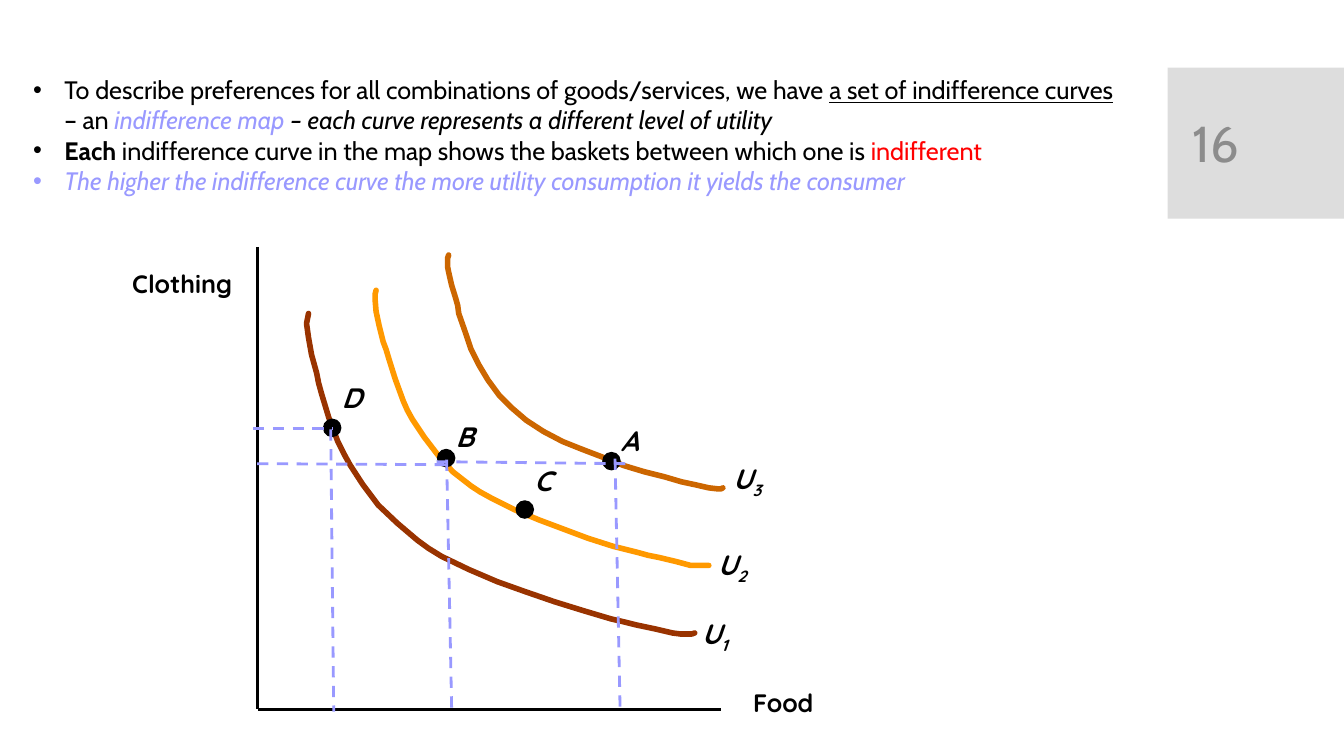
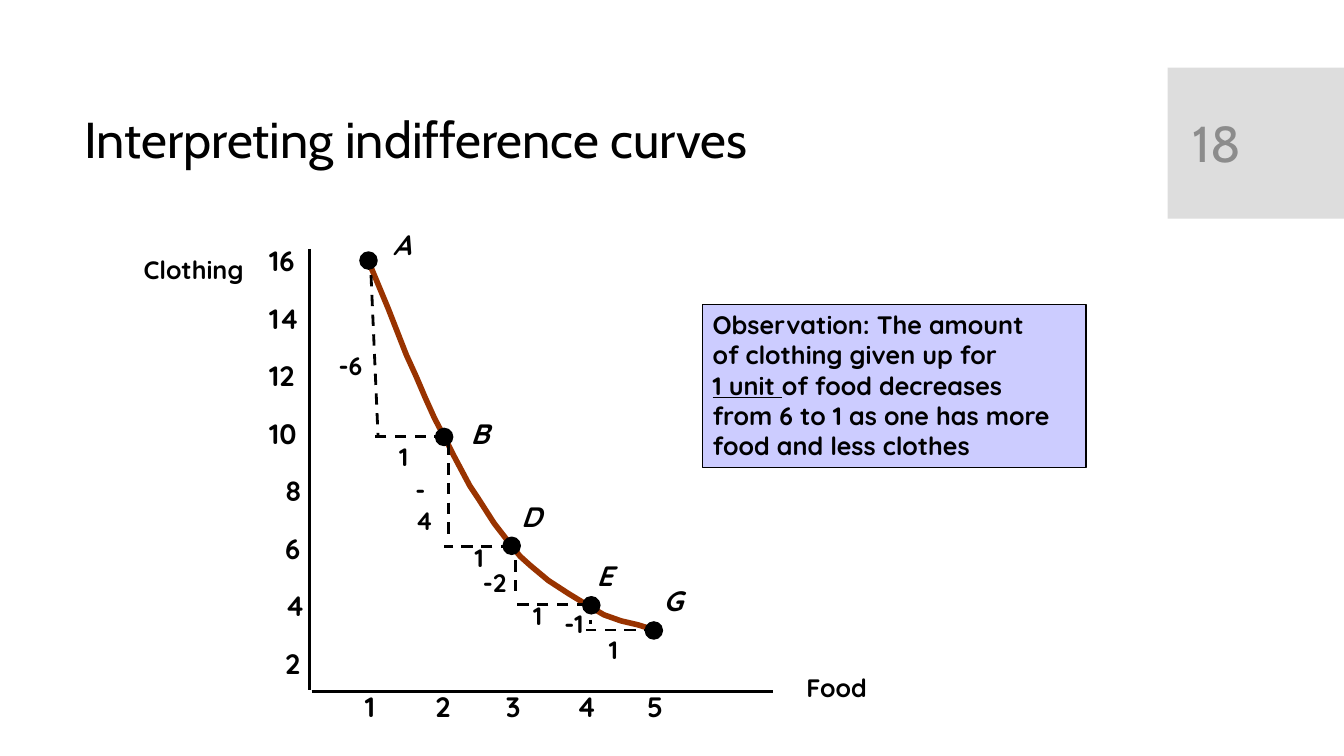
from lxml.etree import SubElement
from pptx import Presentation
from pptx.dml.color import RGBColor
from pptx.enum.dml import MSO_LINE as Dash
from pptx.enum.shapes import MSO_CONNECTOR as Link, MSO_SHAPE as Shape
from pptx.enum.text import MSO_ANCHOR as Anchor, MSO_AUTO_SIZE as Fit, PP_ALIGN as Align
from pptx.oxml.ns import qn
from pptx.util import Inches, Pt

BLACK, LILAC, RED = "000000", "9999FF", "FF0000"
RUST, AMBER, OCHRE = "993300", "FF9900", "CC6600"
PANEL, GREY, NOTE = "DDDDDD", "8C8C8C", "CCCCFF"
BODY, LABEL = "Cabin", "Quicksand"
DOT = 0.17

LOW = [
    (3.06, 3.11), (3.05, 3.16), (3.04, 3.21), (3.05, 3.28), (3.06, 3.35),
    (3.09, 3.52), (3.14, 3.7), (3.16, 3.8), (3.19, 3.91), (3.26, 4.14),
    (3.35, 4.38), (3.41, 4.5), (3.47, 4.61), (3.6, 4.81), (3.75, 5.01),
    (3.94, 5.19), (4.14, 5.36), (4.25, 5.44), (4.38, 5.52), (4.65, 5.65),
    (4.93, 5.77), (5.21, 5.87), (5.5, 5.97), (5.79, 6.06), (6.06, 6.14),
    (6.19, 6.17), (6.31, 6.2), (6.5, 6.24), (6.67, 6.28), (6.75, 6.29),
    (6.81, 6.29), (6.86, 6.29), (6.89, 6.28),
]
MID = [
    (3.73, 2.88), (3.72, 2.92), (3.72, 2.97), (3.73, 3.09), (3.76, 3.23),
    (3.8, 3.39), (3.83, 3.47), (3.86, 3.57), (3.92, 3.76), (4, 3.98),
    (4.04, 4.07), (4.09, 4.16), (4.21, 4.34), (4.34, 4.51), (4.49, 4.68),
    (4.67, 4.82), (4.76, 4.88), (4.87, 4.94), (5.11, 5.06), (5.35, 5.16),
    (5.59, 5.25), (5.83, 5.34), (6.08, 5.42), (6.32, 5.48), (6.43, 5.51),
    (6.53, 5.53), (6.7, 5.57), (6.85, 5.61), (6.96, 5.61), (7.03, 5.61),
]
HIGH = [
    (4.45, 2.53), (4.44, 2.56), (4.44, 2.65), (4.45, 2.7), (4.48, 2.83),
    (4.52, 2.96), (4.54, 3.03), (4.55, 3.11), (4.61, 3.28), (4.67, 3.46),
    (4.71, 3.54), (4.75, 3.62), (4.84, 3.77), (4.95, 3.92), (5.08, 4.05),
    (5.22, 4.17), (5.39, 4.28), (5.58, 4.38), (5.78, 4.46), (5.99, 4.54),
    (6.19, 4.62), (6.39, 4.68), (6.59, 4.73), (6.76, 4.78), (6.9, 4.81),
    (7.03, 4.84), (7.12, 4.85), (7.15, 4.85), (7.17, 4.84),
]
TRADE = [
    (3.65, 2.58), (3.85, 3.06), (4.03, 3.52), (4.13, 3.74), (4.22, 3.95),
    (4.31, 4.15), (4.41, 4.34), (4.49, 4.5), (4.58, 4.67), (4.66, 4.82),
    (4.74, 4.94), (4.9, 5.19), (5.07, 5.41), (5.16, 5.52), (5.26, 5.61),
    (5.44, 5.76), (5.64, 5.89), (5.82, 6), (5.99, 6.1), (6.16, 6.16),
    (6.33, 6.2), (6.49, 6.25),
]


def ink(code):
    return RGBColor.from_string(code)


def paint(shape, fill, line=None):
    shape.shadow.inherit = False
    shape.fill.solid()
    shape.fill.fore_color.rgb = ink(fill)
    if line:
        shape.line.color.rgb = ink(line)
        shape.line.width = Pt(1)
    else:
        shape.line.fill.background()


def block(slide, kind, box, fill, line=None):
    shape = slide.shapes.add_shape(kind, *map(Inches, box))
    paint(shape, fill, line)
    return shape


def style(run, size, font, color, bold=False, slant=False, under=False, base=0):
    face = run.font
    face.size, face.name, face.color.rgb = Pt(size), font, ink(color)
    face.bold, face.italic, face.underline = bold, slant, under
    if base:
        face._element.set("baseline", str(base * 1000))


def bullet(para, color):
    props = para._p.get_or_add_pPr()
    props.set("marL", str(Inches(0.31)))
    props.set("indent", str(-Inches(0.31)))
    tint = SubElement(props, qn("a:buClr"))
    SubElement(tint, qn("a:srgbClr")).set("val", color)
    SubElement(props, qn("a:buFont")).set("typeface", "Arial")
    SubElement(props, qn("a:buChar")).set("char", "•")


def write(slide, box, paras, shape=None, wrap=True, grow=True, anchor=Anchor.TOP,
          align=Align.LEFT, space=None, dots=False, size=18, font=LABEL,
          color=BLACK, **look):
    shape = shape or slide.shapes.add_textbox(*map(Inches, box))
    frame = shape.text_frame
    frame.word_wrap, frame.vertical_anchor = wrap, anchor
    frame.auto_size = Fit.SHAPE_TO_FIT_TEXT if grow else Fit.NONE
    paras = [paras] if isinstance(paras, str) else paras
    for i, runs in enumerate(paras):
        para = frame.add_paragraph() if i else frame.paragraphs[0]
        para.alignment = align
        if space:
            para.line_spacing = space
        runs = [(runs, {})] if isinstance(runs, str) else runs
        if dots:
            bullet(para, runs[0][1].get("color", color))
        for words, extra in runs:
            run = para.add_run()
            run.text = words
            style(run, **{"size": size, "font": font, "color": color, **look, **extra})


def tag(slide, x, y, words, wide=0.4, size=18, bold=True, **look):
    high = 0.43 if size == 20 else 0.4
    write(slide, (x, y, wide, high), words,
          **{"wrap": False, "size": size, "bold": bold, **look})


def point(slide, x, y, name, left, top, wide):
    block(slide, Shape.OVAL, (x, y, DOT, DOT), BLACK, BLACK)
    tag(slide, left, top, name, wide, size=20, slant=True)


def rule(slide, start, end, color=BLACK, dash=False):
    line = slide.shapes.add_connector(Link.STRAIGHT, *map(Inches, (*start, *end)))
    line.line.color.rgb = ink(color)
    line.line.width = Pt(2)
    if dash:
        line.line.dash_style = Dash.DASH
    SubElement(line._element.spPr, qn("a:effectLst"))


def curve(slide, points, color):
    first, *rest = [(Inches(x), Inches(y)) for x, y in points]
    pen = slide.shapes.build_freeform(*first)
    pen.add_line_segments(rest, close=False)
    shape = pen.convert_to_shape()
    shape.shadow.inherit = False
    shape.fill.background()
    shape.line.color.rgb = ink(color)
    shape.line.width = Pt(4)
    shape.line._get_or_add_ln().set("cap", "rnd")


def start(deck, number):
    slide = deck.slides.add_slide(deck.slide_layouts[6])
    block(slide, Shape.RECTANGLE, (11.58, 0.67, 1.75, 1.5), PANEL)
    write(slide, (11.73, 0.82, 1.26, 1.19), number, grow=False,
          anchor=Anchor.MIDDLE, size=36, font=BODY, color=GREY)
    return slide


def map_slide(deck):
    slide = start(deck, "16")
    write(slide, (0.23, 0.69, 11.07, 1.62), [
        [("To describe preferences for all combinations of goods/services, we have ", {}),
         ("a set of indifference curves ", {"under": True}),
         ("– an ", {}),
         ("indifference map ", {"color": LILAC, "slant": True}),
         ("– each curve represents a different level of utility", {"slant": True})],
        [("Each", {"bold": True}),
         (" indifference curve in the map shows the baskets between which one is ", {}),
         ("indifferent", {"color": RED})],
        [("The higher the indifference curve the more utility consumption it yields "
          "the consumer", {"color": LILAC, "slant": True})],
    ], dots=True, font=BODY)

    for points, color, level, x, y in [
        (MID, AMBER, "2", 7.02, 5.38),
        (HIGH, OCHRE, "3", 7.17, 4.53),
        (LOW, RUST, "1", 6.86, 6.07),
    ]:
        curve(slide, points, color)
        tag(slide, x, y, [[("U", {}), (level, {"base": -25})]], 0.48,
            size=20, slant=True)

    rule(slide, (2.55, 2.45), (2.55, 7.03))
    rule(slide, (2.56, 7.04), (7.15, 7.04))
    tag(slide, 7.37, 6.77, "Food", 0.81)
    tag(slide, 1.18, 2.61, "Clothing", 1.22, align=Align.RIGHT)

    for spot in [
        (5.98, 4.49, "A", 6.06, 4.15, 0.41),
        (4.34, 4.46, "B", 4.42, 4.11, 0.36),
        (3.21, 4.16, "D", 3.29, 3.73, 0.4),
        (5.12, 4.97, "C", 5.2, 4.55, 0.42),
    ]:
        point(slide, *spot)
    for ends in [
        ((2.51, 4.25), (3.3, 4.25)), ((3.28, 4.26), (3.31, 7.06)),
        ((2.55, 4.6), (4.43, 4.61)), ((4.43, 4.56), (4.48, 7.05)),
        ((4.33, 4.58), (6.21, 4.6)), ((6.1, 4.55), (6.15, 7.03)),
    ]:
        rule(slide, *ends, color=LILAC, dash=True)


def trade_slide(deck):
    slide = start(deck, "18")
    write(slide, (0.74, 0.82, 10.51, 1.18), "Interpreting indifference curves",
          grow=False, anchor=Anchor.MIDDLE, space=0.9, size=36, font=BODY)

    curve(slide, TRADE, RUST)
    for spot in [
        (3.57, 2.5, "A", 3.8, 2.21, 0.41),
        (4.32, 4.25, "B", 4.57, 4.08, 0.36),
        (4.99, 5.33, "D", 5.07, 4.91, 0.4),
        (5.78, 5.92, "E", 5.82, 5.49, 0.35),
        (6.4, 6.17, "G", 6.48, 5.74, 0.43),
    ]:
        point(slide, *spot)
    for ends in [
        ((3.68, 2.73), (3.75, 4.34)), ((4.42, 4.33), (3.71, 4.33)),
        ((4.45, 4.4), (4.45, 5.36)), ((5.08, 5.42), (4.4, 5.42)),
        ((5.11, 5.56), (5.11, 5.94)), ((5.83, 6), (5.11, 6)),
        ((5.86, 6.15), (5.86, 6.19)), ((6.5, 6.25), (5.81, 6.25)),
    ]:
        rule(slide, *ends, dash=True)
    for x, y, drop in [(3.26, 3.43, "-6"), (4.69, 5.58, "-2"), (5.5, 5.99, "-1")]:
        tag(slide, x, y, drop, 0.45)
    tag(slide, 4.02, 4.66, "-4", 0.38, wrap=True)
    for x, y in [(3.86, 4.33), (4.61, 5.33), (5.19, 5.91), (5.94, 6.24)]:
        tag(slide, x, y, "1", 0.34)

    rule(slide, (3.07, 2.47), (3.07, 6.85))
    rule(slide, (3.09, 6.86), (7.67, 6.86))
    tag(slide, 7.9, 6.62, "Food", 0.81)
    tag(slide, 1.31, 2.47, "Clothing", 1.22, align=Align.CENTER)
    for i in range(5):
        tag(slide, 3.52 + 0.7 * i, 6.79, str(i + 1), 0.36, size=20)
    for i, value in enumerate(range(16, 0, -2)):
        wide = 0.52 if value > 9 else 0.36
        tag(slide, 3.09 - wide, 2.37 + 0.57 * i, str(value), wide, size=20)

    card = block(slide, Shape.RECTANGLE, (6.97, 3.02, 3.8, 1.62), NOTE, BLACK)
    write(slide, None, [
        "Observation: The amount",
        "of clothing given up for",
        [("1 unit", {"under": True}), (" ", {"under": True, "bold": False}),
         ("of food decreases", {})],
        "from 6 to 1 as one has more food and less clothes",
    ], shape=card, bold=True)


def main():
    deck = Presentation()
    deck.slide_width, deck.slide_height = Inches(13.33), Inches(7.5)
    map_slide(deck)
    trade_slide(deck)
    deck.save("out.pptx")


if __name__ == "__main__":
    main()
